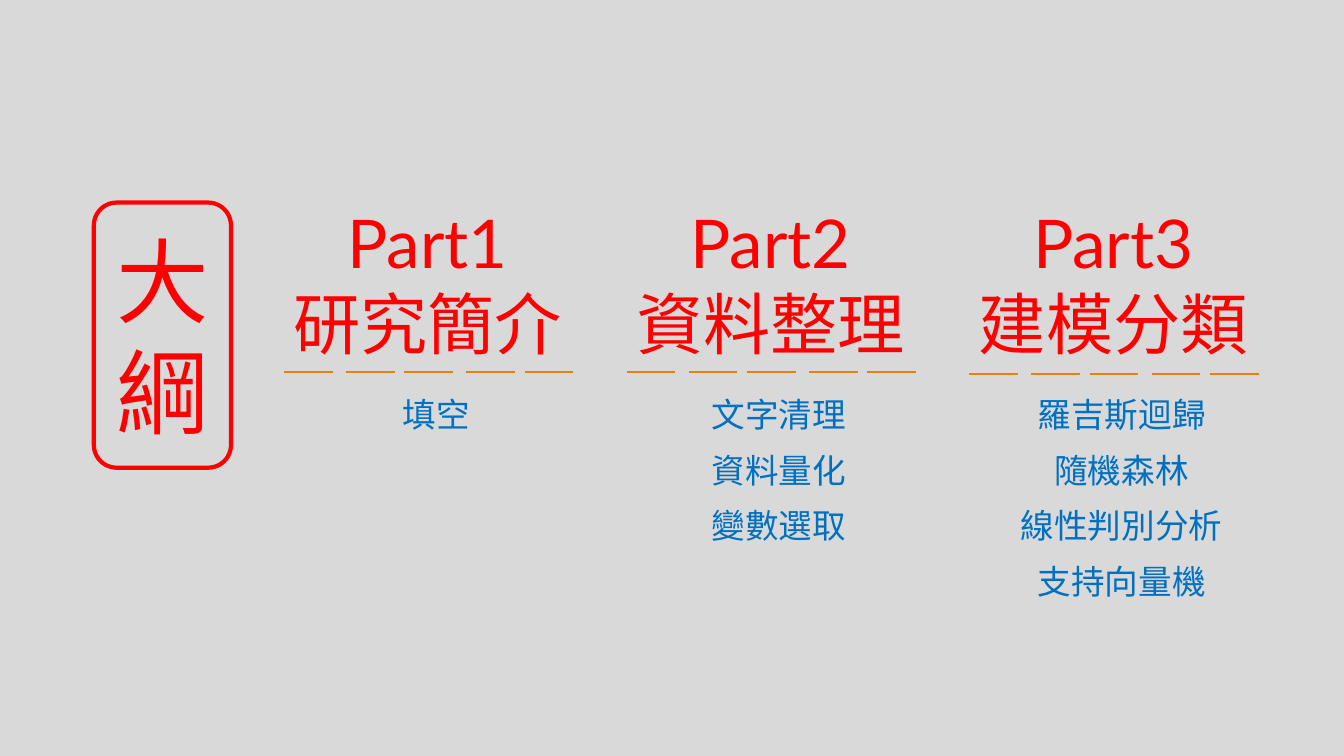
from lxml.etree import SubElement
from pptx import Presentation
from pptx.dml.color import RGBColor
from pptx.enum.shapes import MSO_CONNECTOR, MSO_SHAPE
from pptx.enum.text import MSO_ANCHOR, MSO_AUTO_SIZE, PP_ALIGN
from pptx.oxml.ns import qn
from pptx.util import Pt

COLORS = {"background": "D9D9D9", "heading": "FF0000", "item": "0070C0", "dash": "E48312"}
HEADING_FONT = "Lato"
ITEM_FONT = "Noto Sans Mono"

PARTS = [
    ("Part1\n研究簡介", ["填空"], 208, 265.7),
    ("Part2\n資料整理", ["文字清理", "資料量化", "變數選取"], 208, 265.7),
    ("Part3\n建模分類", ["羅吉斯迴歸", "隨機森林", "線性判別分析", "支持向量機"], 259.2, 267.1),
]
FIRST_CENTER = 305.6
PART_PITCH = 244.8
HEADING_WIDTH = 208
DASH_COUNT = 5
DASH_LENGTH = 34.8
DASH_PITCH = 43


class OutlineSlide:
    def __init__(self, presentation):
        self.slide = presentation.slides.add_slide(presentation.slide_layouts[5])
        fill = self.slide.background.fill
        fill.solid()
        fill.fore_color.rgb = self.color("background")

    def color(self, name):
        return RGBColor.from_string(COLORS[name])

    def format_text(self, frame, text, size, font_name, color_name):
        frame.text = text
        for paragraph in frame.paragraphs:
            paragraph.alignment = PP_ALIGN.CENTER
            for run in paragraph.runs:
                run.font.size = Pt(size)
                run.font.name = font_name
                run.font.color.rgb = self.color(color_name)
                SubElement(run.font._element, qn("a:ea"), typeface=HEADING_FONT)

    def title(self, text, left, top, width, height):
        bounds = [Pt(length) for length in (left, top, width, height)]
        frame_shape = self.slide.shapes.add_shape(MSO_SHAPE.ROUNDED_RECTANGLE, *bounds)
        frame_shape.shadow.inherit = False
        frame_shape.fill.background()
        frame_shape.line.color.rgb = self.color("heading")
        frame_shape.line.width = Pt(3)
        title = self.slide.shapes.title
        title.left, title.top, title.width, title.height = bounds
        frame = title.text_frame
        frame.word_wrap = True
        frame.auto_size = MSO_AUTO_SIZE.NONE
        frame.vertical_anchor = MSO_ANCHOR.MIDDLE
        self.format_text(frame, text, 66, HEADING_FONT, "heading")

    def text_box(self, left, top, width, height):
        box = self.slide.shapes.add_textbox(Pt(left), Pt(top), Pt(width), Pt(height))
        return box.text_frame

    def heading(self, text, left, top, width, height):
        frame = self.text_box(left, top, width, height)
        frame.word_wrap = False
        frame.auto_size = MSO_AUTO_SIZE.SHAPE_TO_FIT_TEXT
        self.format_text(frame, text, 48, HEADING_FONT, "heading")

    def items(self, names, left, top, width, height):
        frame = self.text_box(left, top, width, height)
        frame.word_wrap = True
        frame.margin_left = frame.margin_right = 0
        self.format_text(frame, "\n".join(names), 24, ITEM_FONT, "item")
        for index, paragraph in enumerate(frame.paragraphs):
            paragraph.line_spacing = 0.9
            paragraph.space_before = Pt(12 if index else 0)
            paragraph.space_after = Pt(2)
            properties = paragraph._p.get_or_add_pPr()
            properties.set("marL", str(Pt(7.2)))
            properties.set("indent", str(-Pt(7.2)))
            bullet_color = SubElement(properties, qn("a:buClr"))
            SubElement(bullet_color, qn("a:srgbClr"), val=COLORS["dash"])
            SubElement(properties, qn("a:buChar"), char=" ")

    def dash(self, left, top, length):
        line = self.slide.shapes.add_connector(
            MSO_CONNECTOR.STRAIGHT, Pt(left), Pt(top), Pt(left + length), Pt(top)
        )
        line.line.color.rgb = self.color("dash")
        line.line.width = Pt(1)
        SubElement(line._element.spPr, qn("a:effectLst"))


def main():
    presentation = Presentation()
    presentation.slide_width = Pt(960)
    presentation.slide_height = Pt(540)
    outline = OutlineSlide(presentation)
    outline.title("大\n綱", 67, 144.7, 98, 189.4)
    for index, (heading, names, items_width, dash_top) in enumerate(PARTS):
        center = FIRST_CENTER + index * PART_PITCH
        left = center - HEADING_WIDTH / 2
        outline.heading(heading, left, 140.4, HEADING_WIDTH, 123.8)
        outline.items(names, center - items_width / 2, 280.8, items_width, 170)
        for step in range(DASH_COUNT):
            shift = step * DASH_PITCH + 1.3 * (step % 2)
            outline.dash(left + 1.2 + shift, dash_top, DASH_LENGTH)
    presentation.save("out.pptx")


if __name__ == "__main__":
    main()
